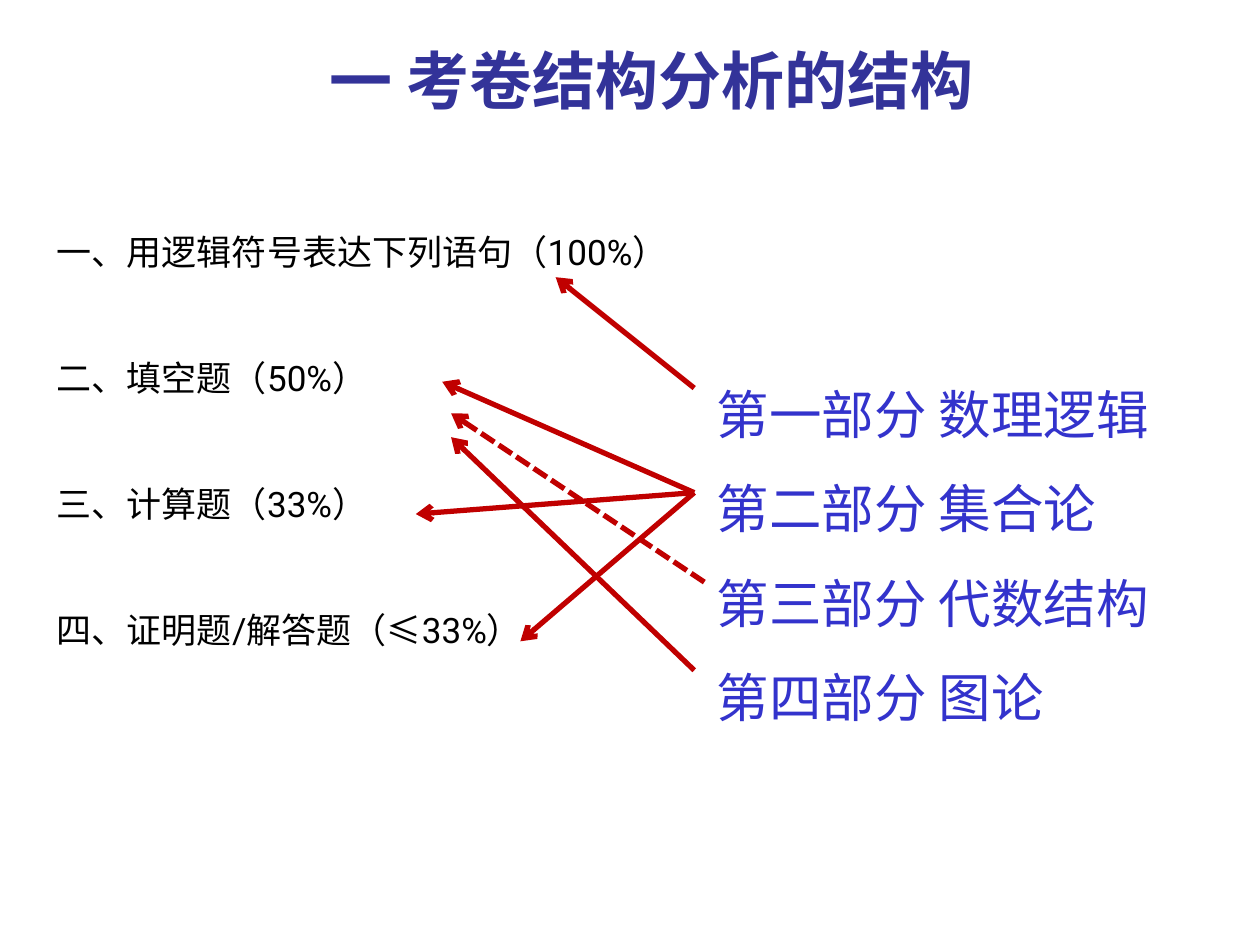
from lxml import etree
from pptx import Presentation
from pptx import util as u
from pptx.dml.color import RGBColor
from pptx.enum import dml, shapes, text
from pptx.oxml import ns


def rgb(value):
    return RGBColor.from_string(value)


def add_xml(parent, tag, **attrs):
    return etree.SubElement(parent, ns.qn(tag), **attrs)


class SlideBuilder:
    ARROW = "C00000"
    TITLE = {"name": "Noto Sans CJK SC", "size": u.Pt(36), "bold": True}
    QUESTIONS = {"name": "Roboto", "size": u.Pt(20), "bold": False}
    TOPICS = {"name": "Cambria", "size": u.Pt(30), "bold": False}

    def __init__(self, prs):
        self.s = prs.slides.add_slide(prs.slide_layouts[3])

    def fill_placeholder(self, index, box, lines, font, color, para):
        sp = self.s.placeholders[index]
        sp.left, sp.top, sp.width, sp.height = map(u.Inches, box)
        tf = sp.text_frame
        frame = {
            "word_wrap": True,
            "auto_size": text.MSO_AUTO_SIZE.NONE,
            "vertical_anchor": text.MSO_ANCHOR.TOP,
        }
        for name, value in frame.items():
            setattr(tf, name, value)
        tf.text = "\n".join(lines)
        for p in tf.paragraphs:
            for name, value in {"space_before": u.Pt(0), **para}.items():
                setattr(p, name, value)
            pPr = p._p.get_or_add_pPr()
            pPr.set("marL", "0")
            pPr.set("indent", "0")
            add_xml(pPr, "a:buNone")
            for r in p.runs:
                for name, value in font.items():
                    setattr(r.font, name, value)
                r.font.color.rgb = rgb(color)

    def title(self, box, line):
        para = {"alignment": text.PP_ALIGN.CENTER}
        self.fill_placeholder(0, box, [line], self.TITLE, "333399", para)

    def questions(self, box, lines):
        para = {
            "alignment": text.PP_ALIGN.JUSTIFY,
            "line_spacing": u.Pt(24),
            "space_after": u.Pt(48),
        }
        self.fill_placeholder(1, box, lines, self.QUESTIONS, "000000", para)

    def topics(self, box, lines):
        para = {"alignment": text.PP_ALIGN.LEFT, "line_spacing": 1.5}
        self.fill_placeholder(2, box, lines, self.TOPICS, "3333CC", para)

    def arrow(self, start, end, dash=None):
        line = self.s.shapes.add_connector(
            shapes.MSO_CONNECTOR.STRAIGHT, *map(u.Inches, start + end)
        )
        line.line.color.rgb = rgb(self.ARROW)
        line.line.width = u.Pt(3)
        if dash:
            line.line.dash_style = dash
        spPr = line._element.spPr
        add_xml(spPr.get_or_add_ln(), "a:tailEnd", type="arrow")
        add_xml(spPr, "a:effectLst")


def main():
    prs = Presentation()
    prs.slide_width, prs.slide_height = u.Inches(10), u.Inches(7.5)
    slide = SlideBuilder(prs)

    slide.title((0.67, 0.28, 9, 1.25), "一 考卷结构分析的结构")
    slide.questions(
        (0.35, 1.78, 5.9, 3.87),
        [
            "一、用逻辑符号表达下列语句（100%）",
            "二、填空题（50%）",
            "三、计算题（33%）",
            "四、证明题/解答题（≤33%）",
        ],
    )
    slide.topics(
        (5.59, 2.73, 4.09, 3.09),
        [
            "第一部分 数理逻辑",
            "第二部分 集合论",
            "第三部分 代数结构",
            "第四部分 图论",
        ],
    )

    logic, sets, algebra, graphs = (5.51, 3.08), (5.51, 3.91), (5.59, 4.62), (5.51, 5.32)
    slide.arrow(logic, (4.41, 2.2))
    for target in [(3.51, 3.03), (3.3, 4.08), (4.13, 5.09)]:
        slide.arrow(sets, target)
    slide.arrow(graphs, (3.58, 3.47))
    slide.arrow(algebra, (3.58, 3.28), dml.MSO_LINE.SQUARE_DOT)

    prs.save("out.pptx")


if __name__ == "__main__":
    main()
